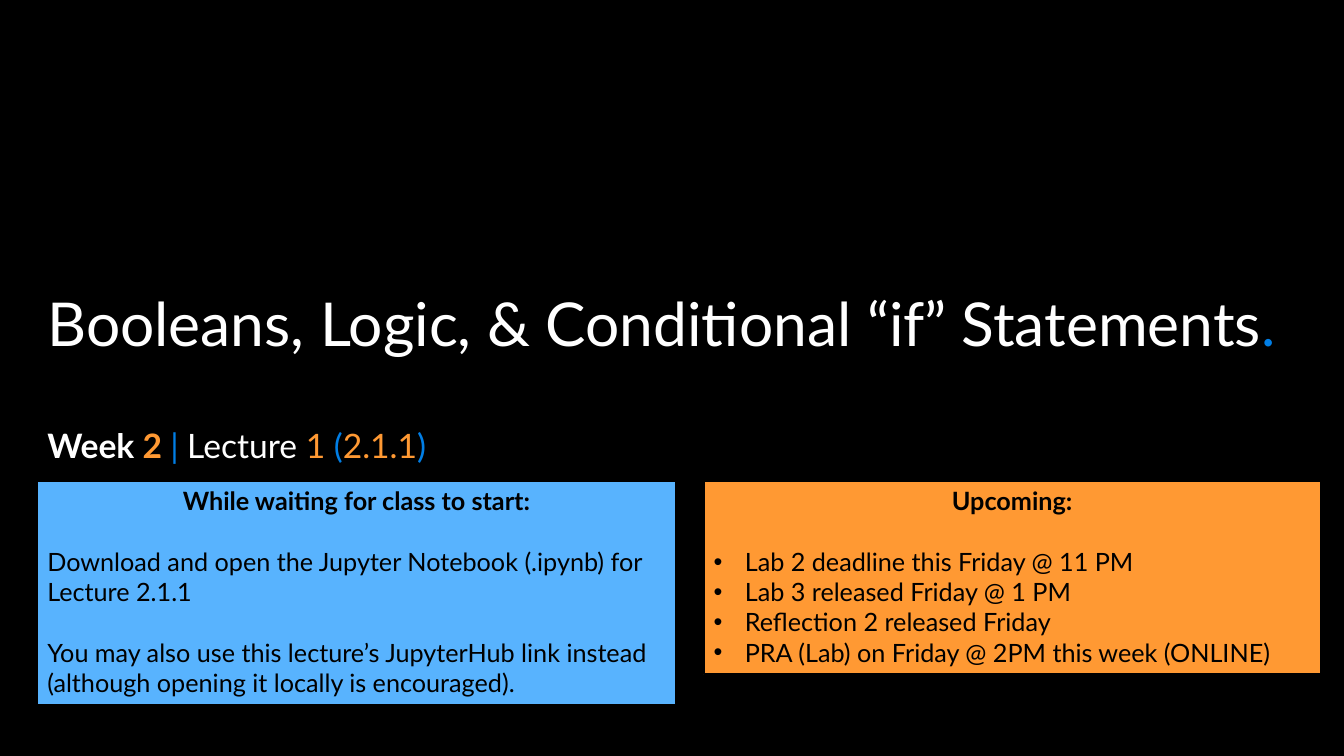
from dataclasses import dataclass

from lxml import etree
from pptx import Presentation
from pptx.dml.color import RGBColor
from pptx.enum.shapes import MSO_SHAPE
from pptx.enum.text import MSO_ANCHOR, MSO_AUTO_SIZE, PP_ALIGN
from pptx.oxml.ns import qn
from pptx.util import Inches, Pt

RECT = MSO_SHAPE.RECTANGLE
TOP, BOTTOM = MSO_ANCHOR.TOP, MSO_ANCHOR.BOTTOM
LEFT, CENTER = PP_ALIGN.LEFT, PP_ALIGN.CENTER
NO_FIT = MSO_AUTO_SIZE.NONE
TITLE_ONLY = 5


@dataclass(frozen=True)
class Theme:
    font: str = "Lato"
    black: str = "000000"
    white: str = "FFFFFF"
    blue: str = "017EE5"
    sky: str = "58B3FE"
    orange: str = "FF9933"
    title: float = 43.2
    head: float = 24
    body: float = 18
    gap: float = 21.6  # one body line
    indent: float = 0.31
    border: float = 1.5


THEME = Theme()


def rgb(code):
    return RGBColor.from_string(code)


def write(para, text, size=THEME.body, color=THEME.black, bold=False):
    run = para.add_run()
    run.text = text
    font = run.font
    font.name, font.size, font.bold = THEME.font, Pt(size), bold
    font.color.rgb = rgb(color)


class Deck:
    def __init__(self, theme):
        self.theme = theme
        self.prs = Presentation()
        self.prs.slide_width, self.prs.slide_height = Inches(13.33), Inches(7.5)
        self.slide = self.prs.slides.add_slide(self.prs.slide_layouts[TITLE_ONLY])
        fill = self.slide.background.fill
        fill.solid()
        fill.fore_color.rgb = rgb(theme.black)

    def area(self, *shares):
        """Turn percentages of the slide's size into lengths."""
        wide, high = self.prs.slide_width, self.prs.slide_height
        return [int(p * side / 100) for p, side in zip(shares, (wide, high) * 2)]

    def line(self, shape, runs, size, anchor):
        """Fill a text shape with one line of (text, color, bold) runs."""
        frame = shape.text_frame
        frame.word_wrap, frame.auto_size = True, NO_FIT
        frame.vertical_anchor = anchor
        para = frame.paragraphs[0]
        para.alignment, para.line_spacing = LEFT, 0.9
        for text, color, bold in runs:
            write(para, text, size=size, color=color, bold=bold)

    def title(self, box, runs):
        shape = self.slide.shapes.title
        shape.left, shape.top, shape.width, shape.height = self.area(*box)
        self.line(shape, runs, self.theme.title, BOTTOM)

    def label(self, box, runs):
        shape = self.slide.shapes.add_textbox(*self.area(*box))
        self.line(shape, runs, self.theme.head, TOP)

    def bullet(self, para):
        props = para._p.get_or_add_pPr()
        inset = Inches(self.theme.indent)
        props.set("marL", str(inset))
        props.set("indent", str(-inset))
        etree.SubElement(props, qn("a:buFont")).set("typeface", "Arial")
        etree.SubElement(props, qn("a:buChar")).set("char", "•")

    def panel(self, box, fill, head, groups, bullets=False):
        """Draw a card: centred heading, then groups set apart by a gap."""
        shape = self.slide.shapes.add_shape(RECT, *self.area(*box))
        shape.shadow.inherit = False
        shape.fill.solid()
        shape.fill.fore_color.rgb = rgb(fill)
        shape.line.color.rgb = rgb(self.theme.black)
        shape.line.width = Pt(self.theme.border)
        frame = shape.text_frame
        frame.word_wrap, frame.vertical_anchor = True, TOP
        first = frame.paragraphs[0]
        first.alignment = CENTER
        write(first, head, bold=True)
        for group in groups:
            for i, text in enumerate(group):
                para = frame.add_paragraph()
                para.alignment = LEFT
                if i == 0:
                    para.space_before = Pt(self.theme.gap)
                if bullets:
                    self.bullet(para)
                write(para, text)


def main():
    t = THEME
    deck = Deck(t)

    # Title and lecture number
    deck.title((2.78, 35.2, 94.6, 13.07), [
        ("Booleans, Logic, & Conditional “if” Statements", t.white, False),
        (".", t.blue, False),
    ])
    deck.label((2.78, 56.13, 93.47, 7), [
        ("Week ", t.white, True),
        ("2 ", t.orange, True),
        ("|", t.blue, False),
        (" Lecture ", t.white, False),
        ("1 ", t.orange, False),
        ("(", t.blue, False),
        ("2.1.1", t.orange, False),
        (")", t.blue, False),
    ])

    # Upcoming dates
    deck.panel((52.36, 63.6, 45.91, 25.6), t.orange, "Upcoming:", [[
        "Lab 2 deadline this Friday @ 11 PM",
        "Lab 3 released Friday @ 1 PM",
        "Reflection 2 released Friday",
        "PRA (Lab) on Friday @ 2PM this week (ONLINE)",
    ]], bullets=True)

    # Things to do before class
    deck.panel((2.78, 63.6, 47.49, 29.6), t.sky, "While waiting for class to start:", [
        ["Download and open the Jupyter Notebook (.ipynb) for Lecture 2.1.1"],
        ["You may also use this lecture’s JupyterHub link instead "
         "(although opening it locally is encouraged)."],
    ])

    deck.prs.save("out.pptx")


if __name__ == "__main__":
    main()
